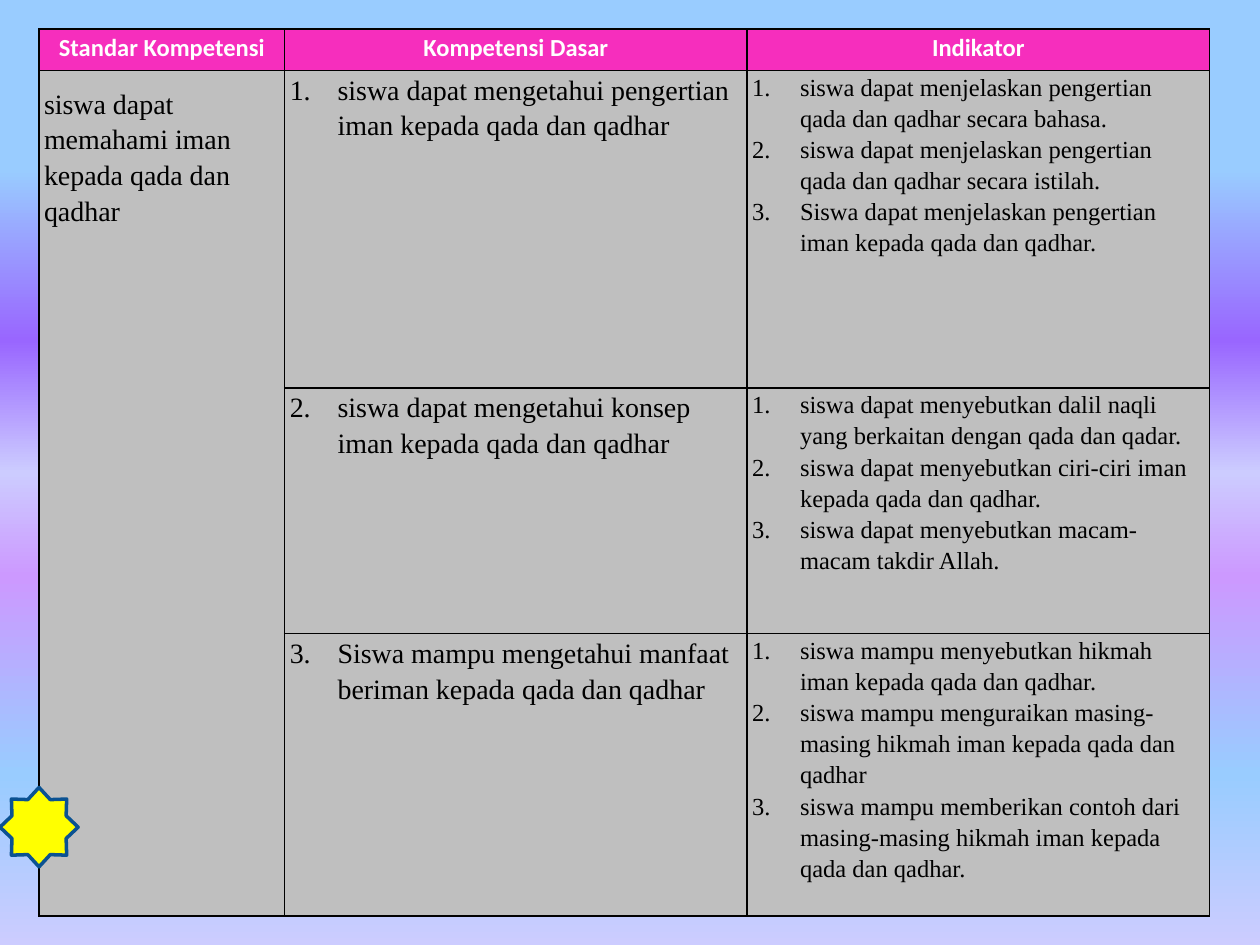
import dataclasses

import pptx
import pptx.dml.color
import pptx.enum.shapes
import pptx.enum.text
import pptx.oxml
import pptx.oxml.ns
import pptx.presentation
import pptx.slide
import pptx.table
import pptx.util

SLIDE_WIDTH, SLIDE_HEIGHT = 10, 7.5
COLUMN_WIDTHS = (1.95, 3.67, 3.67)
ROW_HEIGHTS = (0.33, 2.52, 1.95, 2.24)
LIST_INDENT = 0.38
COLORS = {
    "header": "F62EBD", "body": "BFBFBF", "white": "FFFFFF", "black": "000000",
    "star": "FFFF00", "star line": "0B5292",
    "sky": "99CCFF", "violet": "9966FF", "lavender": "CCCCFF", "orchid": "CC99FF",
}
# Position in percent, colour name
BACKGROUND_STOPS = ((18, "sky"), (36, "violet"), (50, "lavender"),
                    (61, "orchid"), (82, "sky"), (100, "lavender"))


@dataclasses.dataclass(frozen=True)
class TextStyle:
    font: str
    size: int
    color: str
    fill: str
    bold: bool = False
    centered: bool = False


@dataclasses.dataclass(frozen=True)
class Competency:
    goal: str
    indicators: tuple[str, ...]


HEADER = TextStyle("Calibri", 14, "white", "header", bold=True, centered=True)
GOAL = TextStyle("Times New Roman", 16, "black", "body")
INDICATOR = TextStyle("Times New Roman", 14, "black", "body")

HEADINGS = ("Standar Kompetensi", "Kompetensi Dasar", "Indikator")
STANDARD = "siswa dapat memahami iman kepada qada dan qadhar"
COMPETENCIES = (
    Competency("siswa dapat mengetahui pengertian iman kepada qada dan qadhar", (
        "siswa dapat menjelaskan pengertian qada dan qadhar secara bahasa.",
        "siswa dapat menjelaskan pengertian qada dan qadhar secara istilah.",
        "Siswa dapat menjelaskan pengertian iman kepada qada dan qadhar.")),
    Competency("siswa dapat mengetahui konsep iman kepada qada dan qadhar", (
        "siswa dapat menyebutkan dalil naqli yang berkaitan dengan qada dan qadar.",
        "siswa dapat menyebutkan ciri-ciri iman kepada qada dan qadhar.",
        "siswa dapat menyebutkan macam-macam takdir Allah.")),
    Competency("Siswa mampu mengetahui manfaat beriman kepada qada dan qadhar", (
        "siswa mampu menyebutkan hikmah iman kepada qada dan qadhar.",
        "siswa mampu menguraikan masing-masing hikmah iman kepada qada dan qadhar",
        "siswa mampu memberikan contoh dari masing-masing hikmah iman kepada qada dan qadhar.")),
)


def color(name: str) -> pptx.dml.color.RGBColor:
    return pptx.dml.color.RGBColor.from_string(COLORS[name])


def element(markup: str):
    """Parse one drawing element, adding the namespace to its tag."""
    tag, rest = markup.split(" ", 1)
    return pptx.oxml.parse_xml(f"{tag} {pptx.oxml.ns.nsdecls('a')} {rest}")


def paint_background(slide: pptx.slide.Slide) -> None:
    fill = slide.background.fill
    fill.gradient()
    fill.gradient_angle = 270
    stops = next(slide.element.iter(pptx.oxml.ns.qn("a:gsLst")))
    for stop in list(stops):
        stops.remove(stop)
    for position, name in BACKGROUND_STOPS:
        stops.append(element(f'<a:gs pos="{position * 1000}">'
                             f'<a:srgbClr val="{COLORS[name]}"/></a:gs>'))


def number_paragraph(paragraph, start: int) -> None:
    indent = pptx.util.Inches(LIST_INDENT)
    properties = paragraph._p.get_or_add_pPr()
    properties.set("marL", str(indent))
    properties.set("indent", str(-indent))
    properties.append(element(f'<a:buAutoNum type="arabicPeriod" startAt="{start}"/>'))


def draw_borders(cell: pptx.table._Cell) -> None:
    properties = cell._tc.get_or_add_tcPr()
    for index, side in enumerate("LRTB"):
        properties.insert(index, element(
            f'<a:ln{side} w="{pptx.util.Pt(1)}"><a:solidFill>'
            f'<a:srgbClr val="{COLORS["black"]}"/></a:solidFill></a:ln{side}>'))


def fill_cell(cell: pptx.table._Cell, lines: tuple[str, ...], style: TextStyle,
              start: int | None = None, top: float = 0) -> None:
    """Write one paragraph per line, numbered from start if it is given."""
    cell.margin_left = cell.margin_right = pptx.util.Inches(0.04)
    cell.margin_top, cell.margin_bottom = pptx.util.Inches(top), 0
    cell.fill.solid()
    cell.fill.fore_color.rgb = color(style.fill)
    cell.text = "\n".join(lines)
    for paragraph in cell.text_frame.paragraphs:
        paragraph.line_spacing = 1.15
        if style.centered:
            paragraph.alignment = pptx.enum.text.PP_ALIGN.CENTER
        font = paragraph.font
        font.name, font.size = style.font, pptx.util.Pt(style.size)
        font.bold, font.color.rgb = style.bold, color(style.color)
        if start is not None:
            number_paragraph(paragraph, start)


def add_competency_table(slide: pptx.slide.Slide) -> None:
    frame = slide.shapes.add_table(
        len(ROW_HEIGHTS), len(COLUMN_WIDTHS),
        pptx.util.Inches(0.31), pptx.util.Inches(0.23),
        pptx.util.Inches(sum(COLUMN_WIDTHS)), pptx.util.Inches(sum(ROW_HEIGHTS)))
    table = frame.table
    for column, width in zip(table.columns, COLUMN_WIDTHS):
        column.width = pptx.util.Inches(width)
    for row, height in zip(table.rows, ROW_HEIGHTS):
        row.height = pptx.util.Inches(height)

    for index, heading in enumerate(HEADINGS):
        fill_cell(table.cell(0, index), (heading,), HEADER)
    table.cell(1, 0).merge(table.cell(len(COMPETENCIES), 0))
    fill_cell(table.cell(1, 0), (STANDARD,), GOAL, top=0.11)
    for number, competency in enumerate(COMPETENCIES, start=1):
        fill_cell(table.cell(number, 1), (competency.goal,), GOAL, start=number)
        fill_cell(table.cell(number, 2), competency.indicators, INDICATOR, start=1)
    for cell in table.iter_cells():
        draw_borders(cell)


def add_star(slide: pptx.slide.Slide) -> None:
    star = slide.shapes.add_shape(
        pptx.enum.shapes.MSO_SHAPE.STAR_8_POINT, 0, pptx.util.Inches(6.25),
        pptx.util.Inches(0.62), pptx.util.Inches(0.63))
    star.shadow.inherit = False
    star.fill.solid()
    star.fill.fore_color.rgb = color("star")
    star.line.color.rgb = color("star line")
    star.line.width = pptx.util.Pt(2)


def main() -> None:
    presentation = pptx.Presentation()
    presentation.slide_width = pptx.util.Inches(SLIDE_WIDTH)
    presentation.slide_height = pptx.util.Inches(SLIDE_HEIGHT)
    slide = presentation.slides.add_slide(presentation.slide_layouts[6])
    paint_background(slide)
    add_competency_table(slide)
    add_star(slide)
    presentation.save("out.pptx")


if __name__ == "__main__":
    main()
